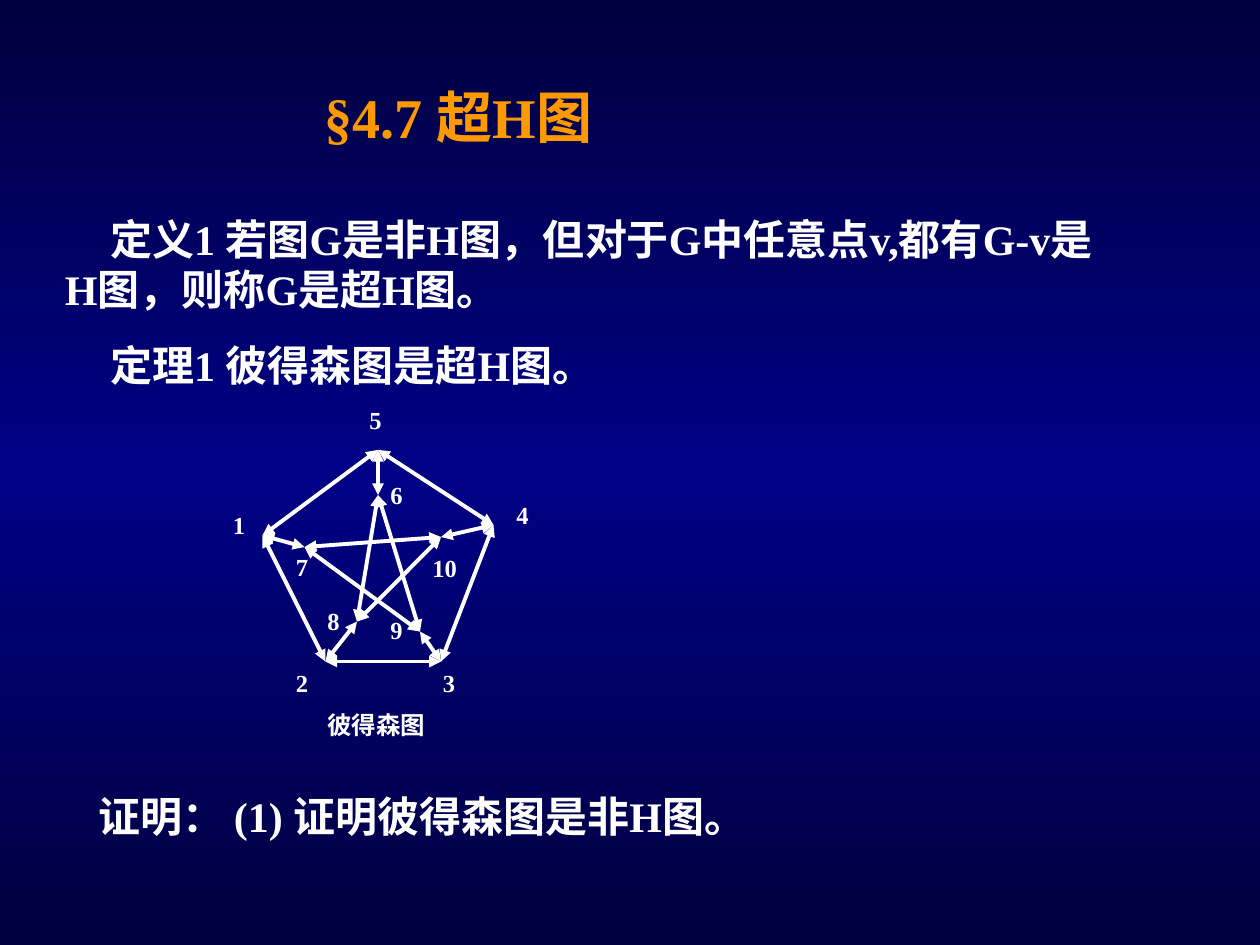
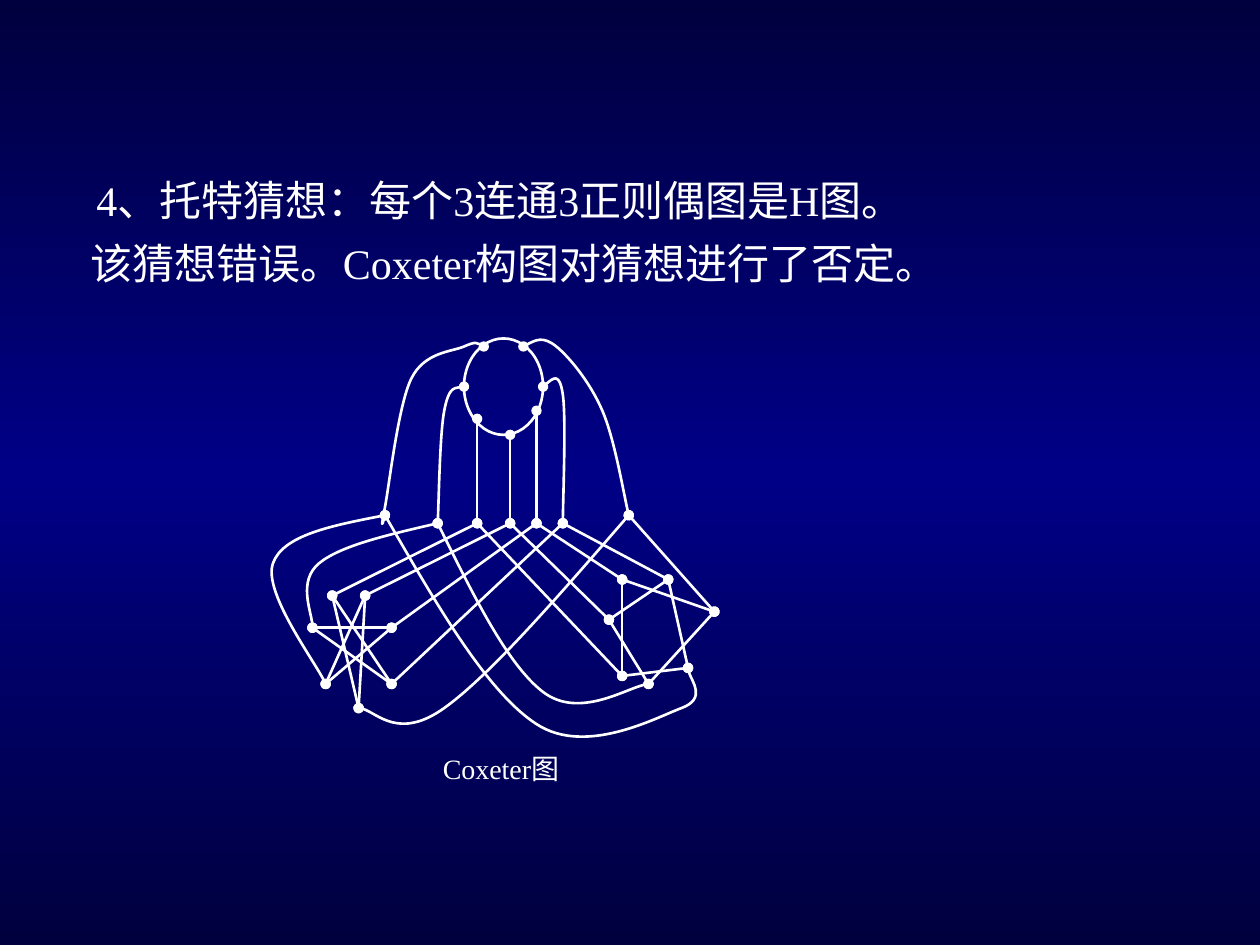
from copy import deepcopy
from lxml import etree
from pptx import Presentation
from pptx.dml.color import RGBColor
from pptx.enum.shapes import MSO_CONNECTOR, MSO_SHAPE
from pptx.enum.text import MSO_AUTO_SIZE
from pptx.oxml.ns import qn
from pptx.util import Inches, Pt

WHITE = RGBColor(0xFF, 0xFF, 0xFF)
GOLD = RGBColor(0xFF, 0x99, 0x00)
DARK = RGBColor(0x00, 0x00, 0x3E)
BLUE = RGBColor(0x00, 0x00, 0x86)
FONT = "Times New Roman"
LINE = MSO_CONNECTOR.STRAIGHT
OVAL = MSO_SHAPE.OVAL
GROW = MSO_AUTO_SIZE.SHAPE_TO_FIT_TEXT

WIDE, HIGH = Inches(10), Inches(7.5)
CELL = WIDE / 120

TITLE = ("§4.7 超H图", 29.75, 7.3, 67)
BODY = [
    ("定义1 若图G是非H图，但对于G中任意点v,都有G-v是H图，则称G是超H图。", 5, 19.75, 2, 0.36),
    ("定理1 彼得森图是超H图。", 5, 31.7, 1, 0.36),
    ("证明： (1) 证明彼得森图是非H图。", 4, 74.7, 1, 0.35),
]
CLAIM = [
    ("该猜想错误。Coxeter构图对猜想进行了否定。", 4, 22, 105, 0.29),
    ("4、托特猜想：每个3连通3正则偶图是H图。", 5, 16, 103, 0.25),
]

PETER = {
    1: (25, 51), 2: (31, 63), 3: (42, 63), 4: (47, 50), 5: (36, 42.85),
    6: (36, 47.15), 7: (29, 52.1), 8: (34, 59.2), 9: (40, 60.15), 10: (42, 51.15),
}
RIM = [(n, n % 5 + 1) for n in range(1, 6)]
SPOKES = [(1, 7), (2, 8), (3, 9), (4, 10), (5, 6)]
STAR = [(6, 8), (6, 9), (7, 9), (7, 10), (8, 10)]
LABELS = {
    1: (21, 48), 2: (27, 63), 3: (41, 63), 4: (48, 47), 5: (34, 38),
    6: (36, 45.1), 7: (27, 52), 8: (30, 57.1), 9: (36, 58), 10: (40, 52.1),
}

LEFT, TOP = 2.48, 2.75
COL, ROW = 3.19 / 61, 2.87 / 45
COX = {
    "a": (26, 0), "b": (32, 0), "c": (23, 5), "d": (35, 5),
    "e": (25, 9), "f": (34, 8), "g": (30, 11),
    "h": (11, 21), "i": (19, 22), "j": (25, 22), "k": (30, 22),
    "l": (34, 22), "m": (38, 22), "n": (48, 21),
    "o": (3, 31), "p": (8, 31), "q": (0, 35), "r": (12, 35),
    "s": (2, 42), "t": (12, 42), "u": (7, 45),
    "v": (47, 29), "w": (54, 29), "x": (61, 33), "y": (45, 34),
    "z": (57, 40), "A": (47, 41), "B": (51, 42),
}
EDGES = ("gk ej fl ps pu ot ou qr rs qt yw wz yB vA vx Az xB "
         "jo kp lr mt mw nx ky jA").split()
HOOK = (0.3, -1)
CURVES = [
    ("a", [(23, 0), (15, 4), (11, 20)], "h", HOOK),
    ("b", [(37, 0), (44, 8)], "n", None),
    ("c", [(20, 8)], "i", None),
    ("d", [(38, 6)], "m", None),
    ("n", [(20, 45)], "u", None),
    ("i", [(1, 27)], "q", None),
    ("h", [(-6, 27)], "s", None),
    ("l", [], "v", None),
    ("i", [(35, 43)], "B", None),
    ("h", [(34, 47), (56, 45)], "z", None),
]
RING = (23, -1, 35, 11)


def cell(spot):
    return tuple(round(n * CELL) for n in spot)


def grid(spot):
    return Inches(LEFT + spot[0] * COL), Inches(TOP + spot[1] * ROW)


def write(shapes, text, x, y, wide, size=24, lines=1, bold=False, color=WHITE, indent=0):
    box = shapes.add_textbox(*cell((x, y, wide, lines * size / 5 + 1.3)))
    frame = box.text_frame
    frame.word_wrap = True
    frame.auto_size = GROW
    para = frame.paragraphs[0]
    if indent:
        para._p.get_or_add_pPr().set("indent", str(Inches(indent)))
    run = para.add_run()
    run.text = text
    font = run.font
    font.name, font.size, font.bold = FONT, Pt(size), bold
    font.color.rgb = color


def stroke(shape, width, tip=None):
    shape.line.color.rgb = WHITE
    shape.line.width = Pt(width)
    props = shape.element.spPr
    if tip:
        for end in ("a:headEnd", "a:tailEnd"):
            etree.SubElement(props.find(qn("a:ln")), qn(end), type=tip)
    etree.SubElement(props, qn("a:effectLst"))


def link(shapes, start, stop, width, tip):
    stroke(shapes.add_connector(LINE, *start, *stop), width, tip)


def spline(knots, hook):
    last = len(knots) - 1
    turn = []
    for n in range(last + 1):
        prev, succ = knots[max(n - 1, 0)], knots[min(n + 1, last)]
        turn.append([(b - a) / 6 for a, b in zip(prev, succ)])
    turn[-1] = hook or turn[-1]
    dots = [knots[0]]
    for n in range(last):
        p, q = knots[n], knots[n + 1]
        near = tuple(a + d for a, d in zip(p, turn[n]))
        far = tuple(a - d for a, d in zip(q, turn[n + 1]))
        if n == 0:
            near = tuple((a + b) / 2 for a, b in zip(p, far))
        dots += [near, far, q]
    return dots


def curve(shapes, knots, hook):
    dots = [grid(dot) for dot in spline(knots, hook)]
    pen = shapes.build_freeform(*dots[0])
    pen.add_line_segments(dots[1:], close=False)
    shape = pen.convert_to_shape()
    trace = shape.element.find(".//" + qn("a:path"))
    legs = trace.findall(qn("a:lnTo"))
    for n in range(0, len(legs), 3):
        bend = etree.SubElement(trace, qn("a:cubicBezTo"))
        for leg in legs[n:n + 3]:
            bend.append(leg[0])
            trace.remove(leg)
    shape.fill.background()
    stroke(shape, 1.5, "oval")


def paint(master):
    fill = master.background.fill
    fill.gradient()
    fill.gradient_angle = 270
    stops = master.element.find(".//" + qn("a:gsLst"))
    while len(stops) < 3:
        stops.append(deepcopy(stops[-1]))
    for stop, place, color in zip(fill.gradient_stops, (0, 0.5, 1), (DARK, BLUE, DARK)):
        stop.position = place
        stop.color.rgb = color


def petersen(slide):
    for text, x, y, lines, indent in BODY:
        write(slide.shapes, text, x, y, 101, lines=lines, bold=True, indent=indent)
    shapes = slide.shapes.add_group_shape().shapes
    for p, q in RIM + SPOKES + STAR:
        link(shapes, cell(PETER[p]), cell(PETER[q]), 2.25, "triangle")
    for name, (x, y) in LABELS.items():
        write(shapes, str(name), x, y, 6 if name > 9 else 4.2, size=14, bold=True)
    write(shapes, "彼得森图", 30, 67, 15, size=14, bold=True)
    text, x, y, wide = TITLE
    write(slide.shapes, text, x, y, wide, size=32, lines=2, bold=True, color=GOLD)


def coxeter(slide):
    for text, x, y, wide, indent in CLAIM:
        write(slide.shapes, text, x, y, wide, indent=indent)
    shapes = slide.shapes.add_group_shape().shapes
    x, y = grid(RING[:2])
    right, base = grid(RING[2:])
    ring = shapes.add_shape(OVAL, x, y, right - x, base - y)
    ring.fill.background()
    stroke(ring, 1.5)
    for p, q in EDGES:
        link(shapes, grid(COX[p]), grid(COX[q]), 1.5, "oval")
    for p, knots, q, hook in CURVES:
        curve(shapes, [COX[p], *knots, COX[q]], hook)
    write(shapes, "Coxeter图", 41, 71, 17, size=16)


def main():
    deck = Presentation()
    deck.slide_width, deck.slide_height = WIDE, HIGH
    paint(deck.slide_master)
    for draw in (petersen, coxeter):
        draw(deck.slides.add_slide(deck.slide_layouts[6]))
    deck.save("out.pptx")


if __name__ == "__main__":
    main()
